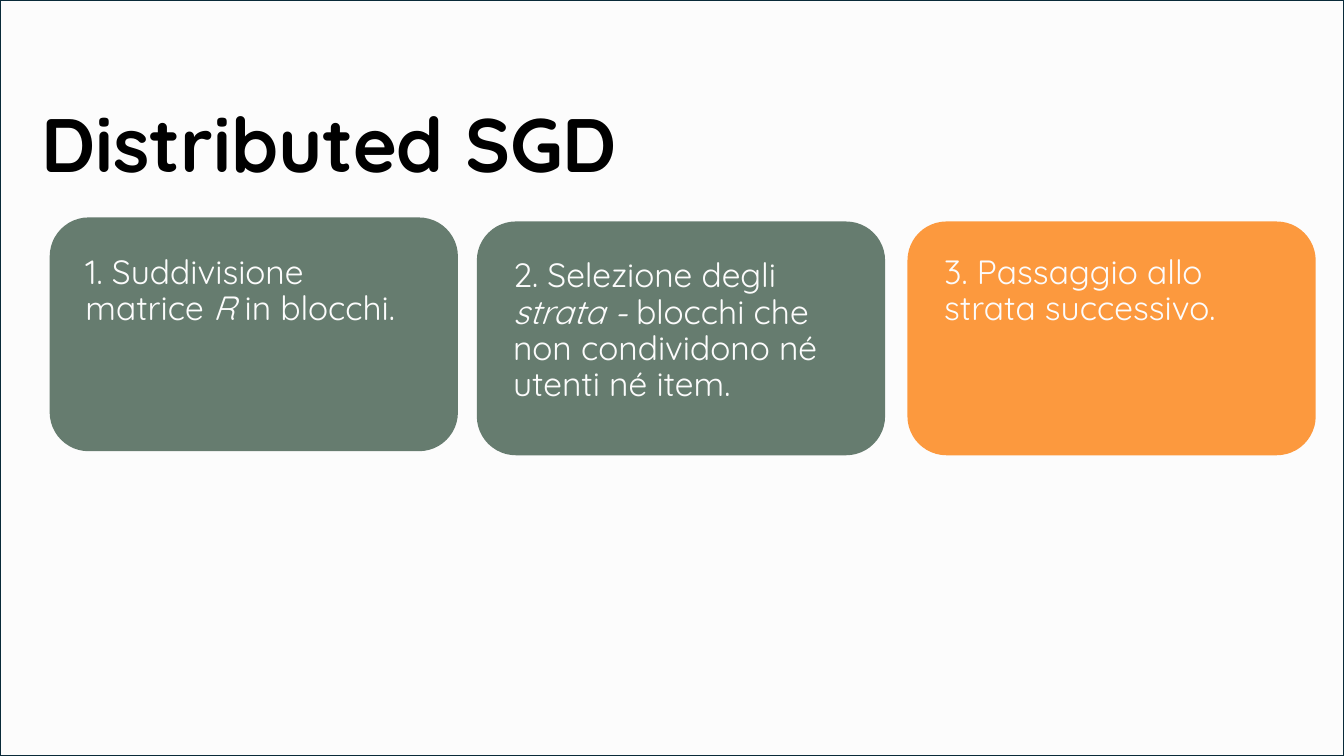
from pptx import Presentation
from pptx.dml.color import RGBColor
from pptx.enum.shapes import MSO_SHAPE
from pptx.enum.text import MSO_ANCHOR
from pptx.util import Pt

RECTANGLE = MSO_SHAPE.RECTANGLE
ROUNDED = MSO_SHAPE.ROUNDED_RECTANGLE
TOP, BOTTOM = MSO_ANCHOR.TOP, MSO_ANCHOR.BOTTOM

FONT = "Quicksand"
WHITE, BLACK, NAVY = "FCFCFC", "000000", "092A39"
GREEN, ORANGE = "667C6F", "FC993E"
SLIDE_SIZE = (960, 540)
CARD_SIZE = (291.6, 167)
STEP_SIZE = (254.2, 120.2)

# Card position, text position, fill, and (text, italic) runs
STEPS = [
    ((35.5, 155.3), (54, 178.6), GREEN,
     [("1. Suddivisione matrice ", False), ("R", True), (" in blocchi.", False)]),
    ((340.6, 158.2), (359.4, 181.4), GREEN,
     [("2. Selezione degli ", False), ("strata -", True),
      (" blocchi che non condividono né utenti né item.", False)]),
    ((648.2, 158.2), (667.4, 178.6), ORANGE,
     [("3. Passaggio allo strata successivo.", False)]),
]


def rgb(value):
    return RGBColor.from_string(value)


def add_panel(slide, kind, position, size, fill, border=None):
    panel = slide.shapes.add_shape(kind, *map(Pt, position + size))
    panel.shadow.inherit = False
    panel.fill.solid()
    panel.fill.fore_color.rgb = rgb(fill)
    if border:
        panel.line.color.rgb = rgb(border)
        panel.line.width = Pt(1.5)
    else:
        panel.line.fill.background()


def add_text(slide, position, size, runs, points, color, bold=False, anchor=TOP):
    frame = slide.shapes.add_textbox(*map(Pt, position + size)).text_frame
    frame.word_wrap = True
    frame.vertical_anchor = anchor
    paragraph = frame.paragraphs[0]
    paragraph.line_spacing = 0.9
    for text, italic in runs:
        run = paragraph.add_run()
        run.text = text
        run.font.name = FONT
        run.font.size = Pt(points)
        run.font.bold = bold
        run.font.italic = italic
        run.font.color.rgb = rgb(color)


def main():
    deck = Presentation()
    deck.slide_width, deck.slide_height = map(Pt, SLIDE_SIZE)
    slide = deck.slides.add_slide(deck.slide_layouts[6])

    # Framed background
    add_panel(slide, RECTANGLE, (0, 0), SLIDE_SIZE, WHITE, NAVY)

    # Title
    add_text(slide, (22.3, 70.6), (545, 67.7), [("Distributed SGD", False)],
             54, BLACK, bold=True, anchor=BOTTOM)

    # Algorithm steps
    for card_position, text_position, fill, runs in STEPS:
        add_panel(slide, ROUNDED, card_position, CARD_SIZE, fill)
        add_text(slide, text_position, STEP_SIZE, runs, 24, WHITE)

    deck.save("out.pptx")


if __name__ == "__main__":
    main()
